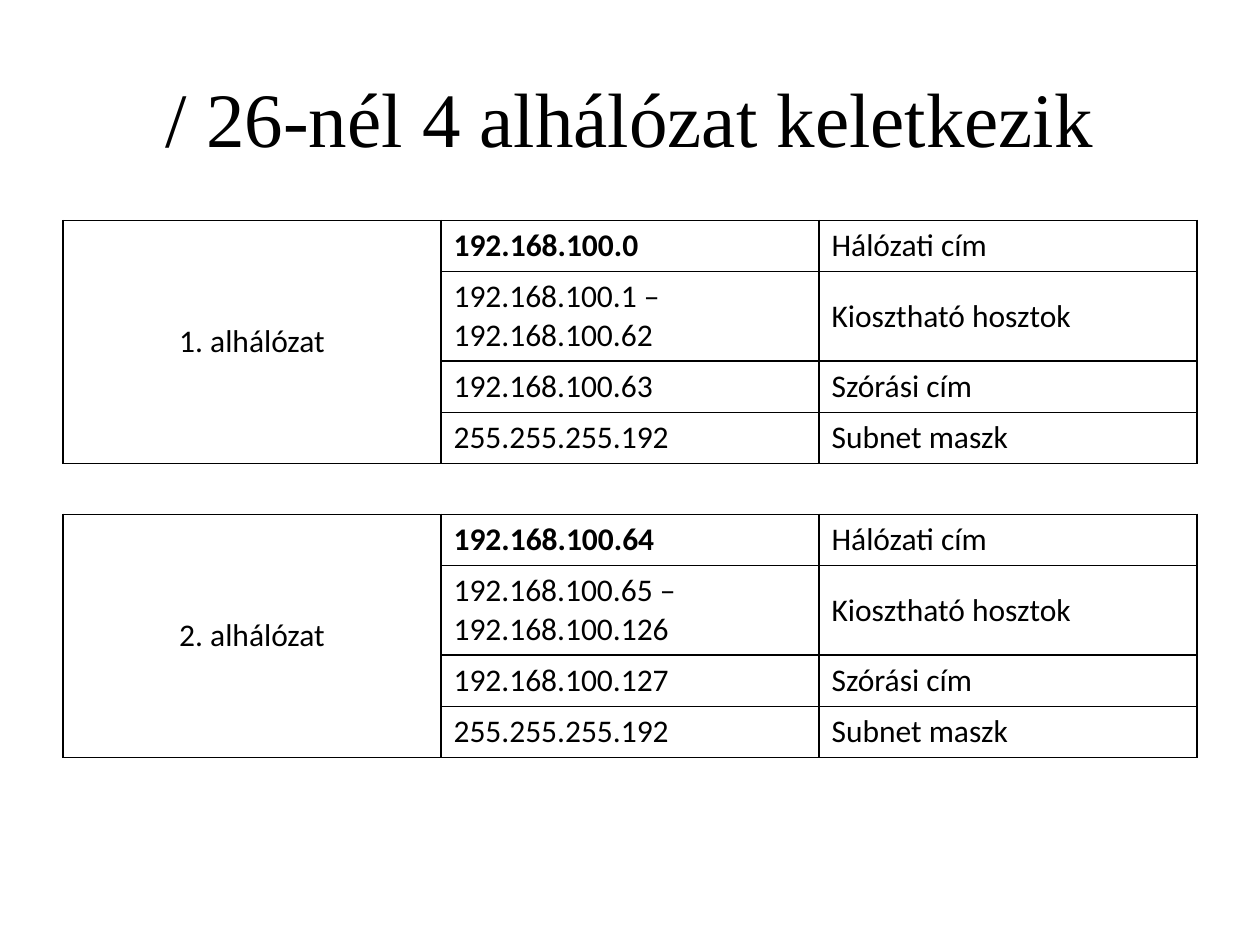
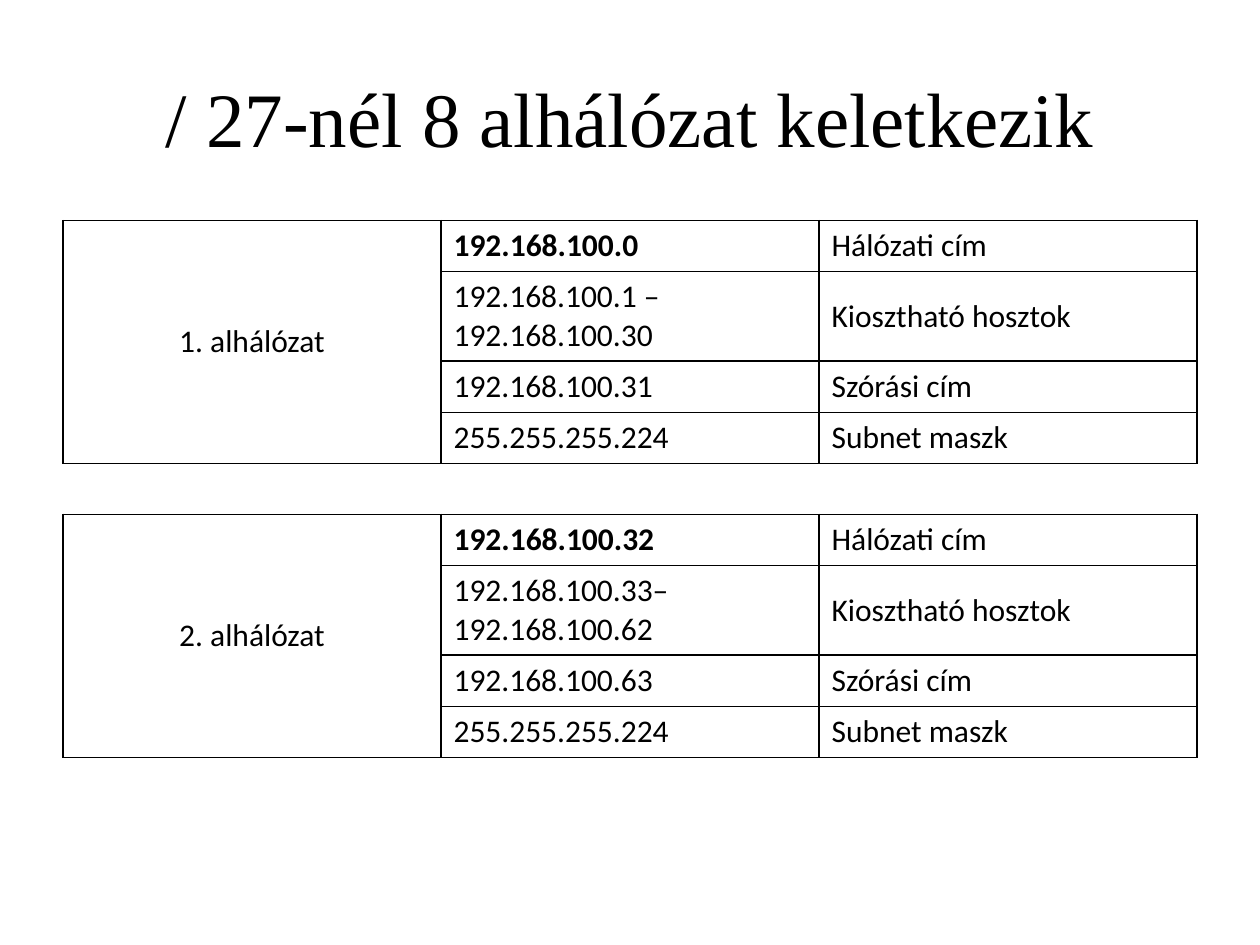
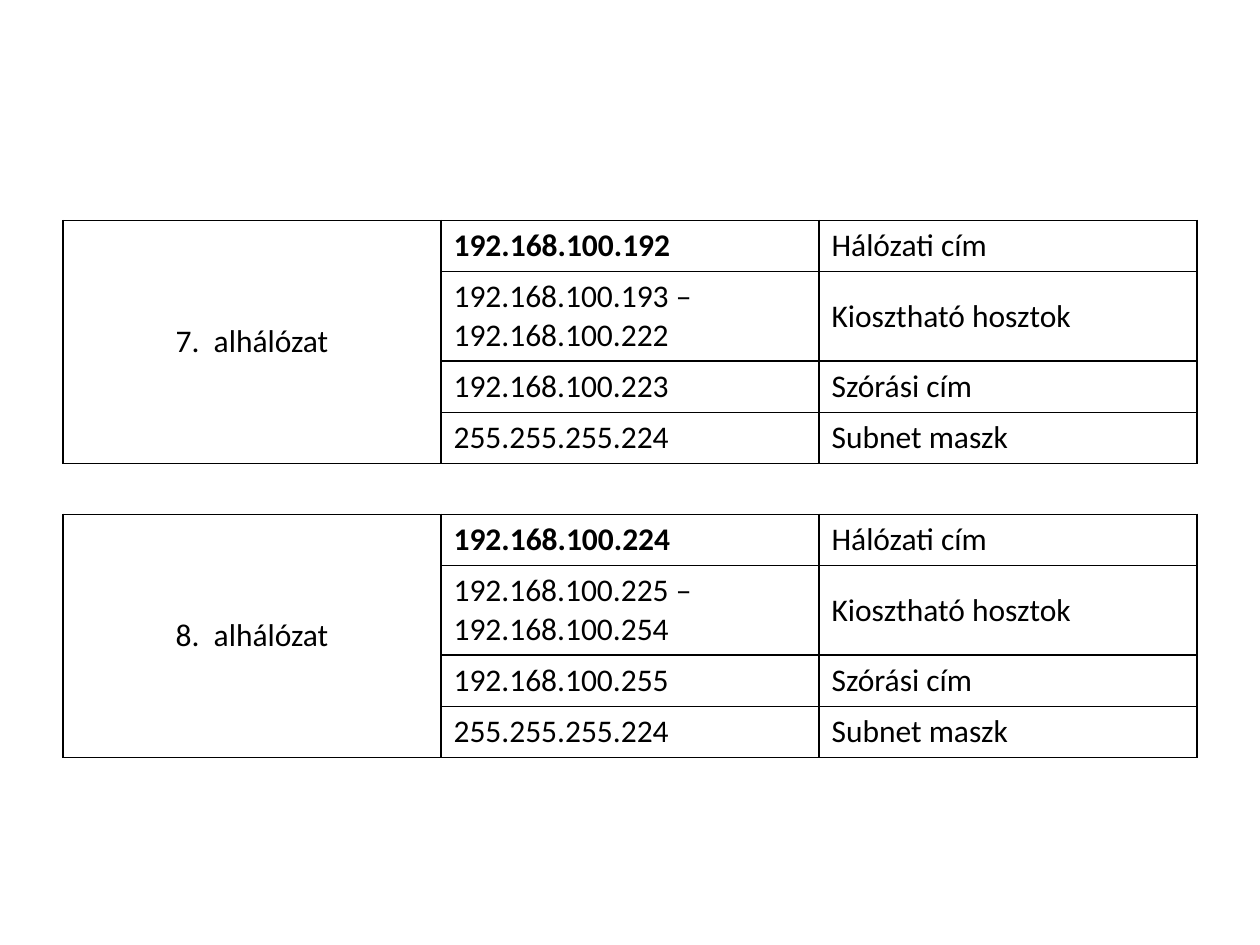
"""Build three slides of subnet tables."""
from lxml import etree
from pptx import Presentation
from pptx.dml.color import RGBColor
from pptx.enum import text
from pptx.oxml import ns
from pptx.util import Pt

THEME = {
    "ink": "000000",
    "title": {"name": "Times New Roman", "size": Pt(44)},
    "body": {"name": "Calibri", "size": Pt(18), "bold": False},
    "strong": {"name": "Calibri", "size": Pt(18), "bold": True},
    "border": Pt(1),
}

ROLES = ["Hálózati cím", "Kiosztható hosztok", "Szórási cím", "Subnet maszk"]

SLIDES = [
    ("/ 26-nél 4 alhálózat keletkezik", [
        ("1. alhálózat", ["192.168.100.0", "192.168.100.1 –\n192.168.100.62",
                          "192.168.100.63", "255.255.255.192"]),
        ("2. alhálózat", ["192.168.100.64", "192.168.100.65 –\n192.168.100.126",
                          "192.168.100.127", "255.255.255.192"]),
    ]),
    ("/ 27-nél 8 alhálózat keletkezik", [
        ("1. alhálózat", ["192.168.100.0", "192.168.100.1 –\n192.168.100.30",
                          "192.168.100.31", "255.255.255.224"]),
        ("2. alhálózat", ["192.168.100.32", "192.168.100.33–\n192.168.100.62",
                          "192.168.100.63", "255.255.255.224"]),
    ]),
    (None, [
        ("7.  alhálózat", ["192.168.100.192", "192.168.100.193 –\n192.168.100.222",
                           "192.168.100.223", "255.255.255.224"]),
        ("8.  alhálózat", ["192.168.100.224", "192.168.100.225 –\n192.168.100.254",
                           "192.168.100.255", "255.255.255.224"]),
    ]),
]

PAGE_SIZE = (720, 540)
MARGIN = 36
CONTENT_WIDTH = PAGE_SIZE[0] - 2 * MARGIN
TITLE_TOP, TITLE_HEIGHT = 21.6, 90
TABLE_TOP = 126
COLUMNS = 3
LINE_HEIGHT, CELL_PADDING = 22, 7.2
BLOCK_STEP = len(ROLES) + 1


def apply(target, values):
    for name, value in values.items():
        setattr(target, name, value)


def write(frame, content, font, align=text.PP_ALIGN.LEFT):
    for index, line in enumerate(content.split("\n")):
        para = frame.add_paragraph() if index else frame.paragraphs[0]
        para.alignment = align
        span = para.add_run()
        span.text = line
        apply(span.font, font)
        span.font.color.rgb = RGBColor.from_string(THEME["ink"])


def set_borders(cell, sides):
    properties = cell._tc.get_or_add_tcPr()
    for index, side in enumerate("LRTB"):
        line = etree.Element(ns.qn(f"a:ln{side}"), w=str(THEME["border"]))
        if side in sides:
            fill = etree.SubElement(line, ns.qn("a:solidFill"))
            etree.SubElement(fill, ns.qn("a:srgbClr"), val=THEME["ink"])
        else:
            etree.SubElement(line, ns.qn("a:noFill"))
        properties.insert(index, line)


def add_title(page, title):
    box = page.shapes.add_textbox(Pt(MARGIN), Pt(TITLE_TOP),
                                  Pt(CONTENT_WIDTH), Pt(TITLE_HEIGHT))
    apply(box.text_frame, {"word_wrap": True,
                           "vertical_anchor": text.MSO_ANCHOR.MIDDLE})
    write(box.text_frame, title, THEME["title"], text.PP_ALIGN.CENTER)


def add_subnets(page, subnets):
    row_count = len(subnets) * BLOCK_STEP - 1
    lines = [1] * row_count
    for block, (_, addresses) in enumerate(subnets):
        for offset, address in enumerate(addresses):
            lines[block * BLOCK_STEP + offset] = address.count("\n") + 1
    heights = [count * LINE_HEIGHT + CELL_PADDING for count in lines]
    table = page.shapes.add_table(row_count, COLUMNS, Pt(MARGIN), Pt(TABLE_TOP),
                                  Pt(CONTENT_WIDTH), Pt(sum(heights))).table
    apply(table, {"first_row": False, "horz_banding": False})
    for row, height in zip(table.rows, heights):
        row.height = Pt(height)
    for index in range(row_count):
        is_gap = index % BLOCK_STEP == len(ROLES)
        for column in range(COLUMNS):
            cell = table.cell(index, column)
            cell.fill.background()
            set_borders(cell, "TB" if is_gap else "LRTB")
    for block, (label, addresses) in enumerate(subnets):
        top = block * BLOCK_STEP
        name_cell = table.cell(top, 0)
        name_cell.merge(table.cell(top + len(ROLES) - 1, 0))
        name_cell.vertical_anchor = text.MSO_ANCHOR.MIDDLE
        write(name_cell.text_frame, label, THEME["body"], text.PP_ALIGN.CENTER)
        for offset, (address, role) in enumerate(zip(addresses, ROLES)):
            font = THEME["body"] if offset else THEME["strong"]
            write(table.cell(top + offset, 1).text_frame, address, font)
            role_cell = table.cell(top + offset, 2)
            role_cell.vertical_anchor = text.MSO_ANCHOR.MIDDLE
            write(role_cell.text_frame, role, THEME["body"])


def main():
    deck = Presentation()
    deck.slide_width, deck.slide_height = map(Pt, PAGE_SIZE)
    for title, subnets in SLIDES:
        page = deck.slides.add_slide(deck.slide_layouts[6])
        if title:
            add_title(page, title)
        add_subnets(page, subnets)
    deck.save("out.pptx")


if __name__ == "__main__":
    main()
